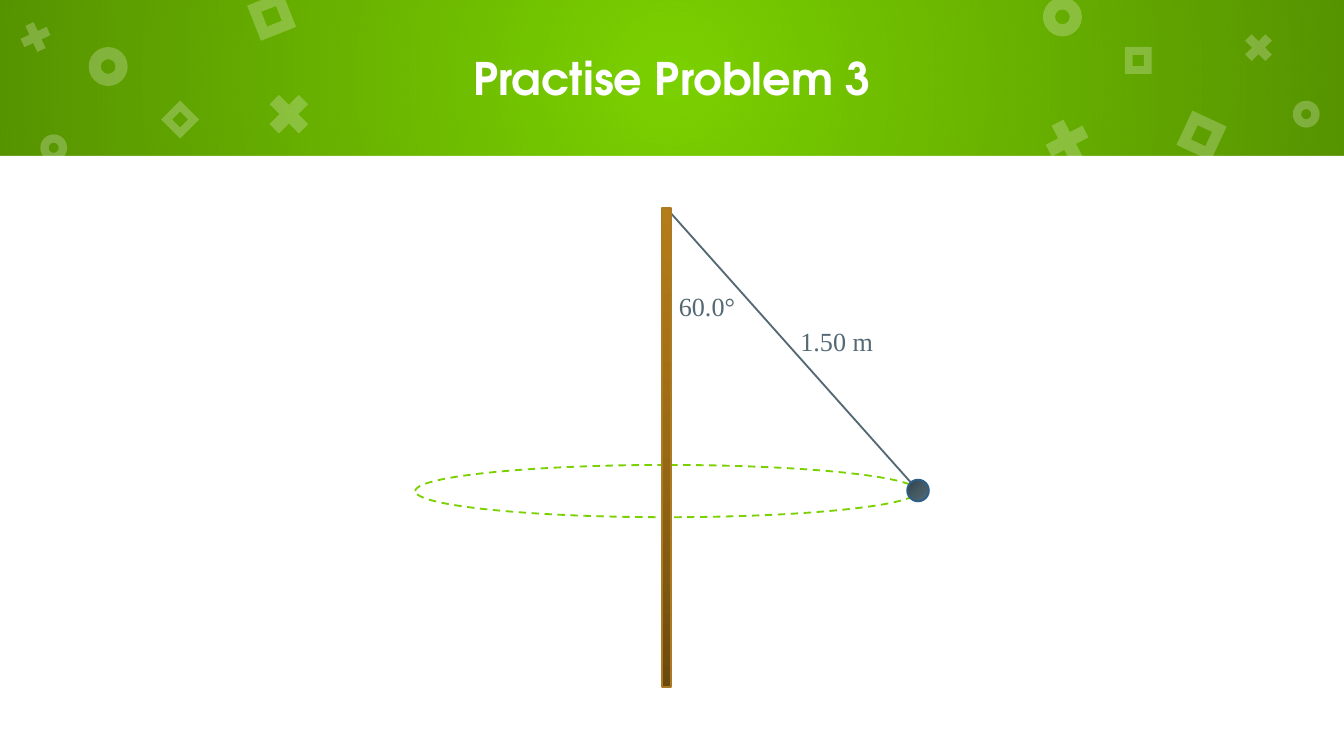
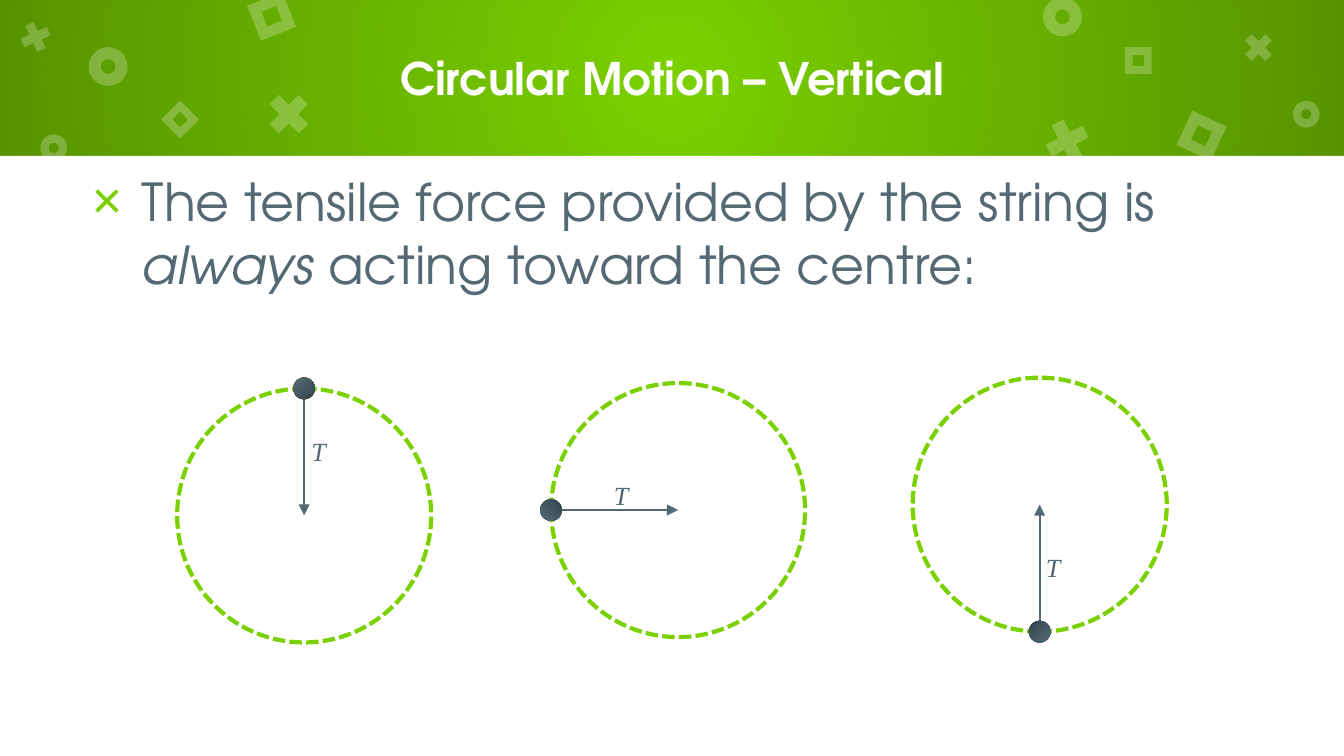
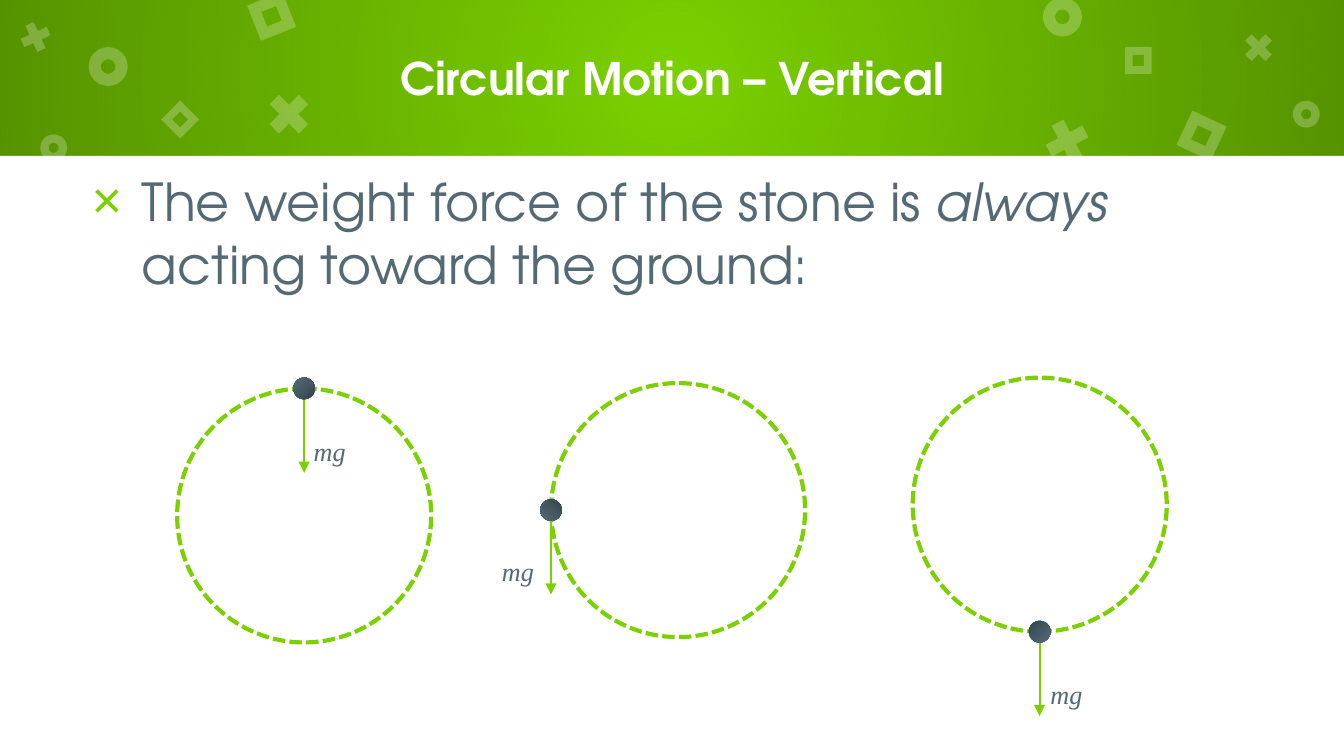
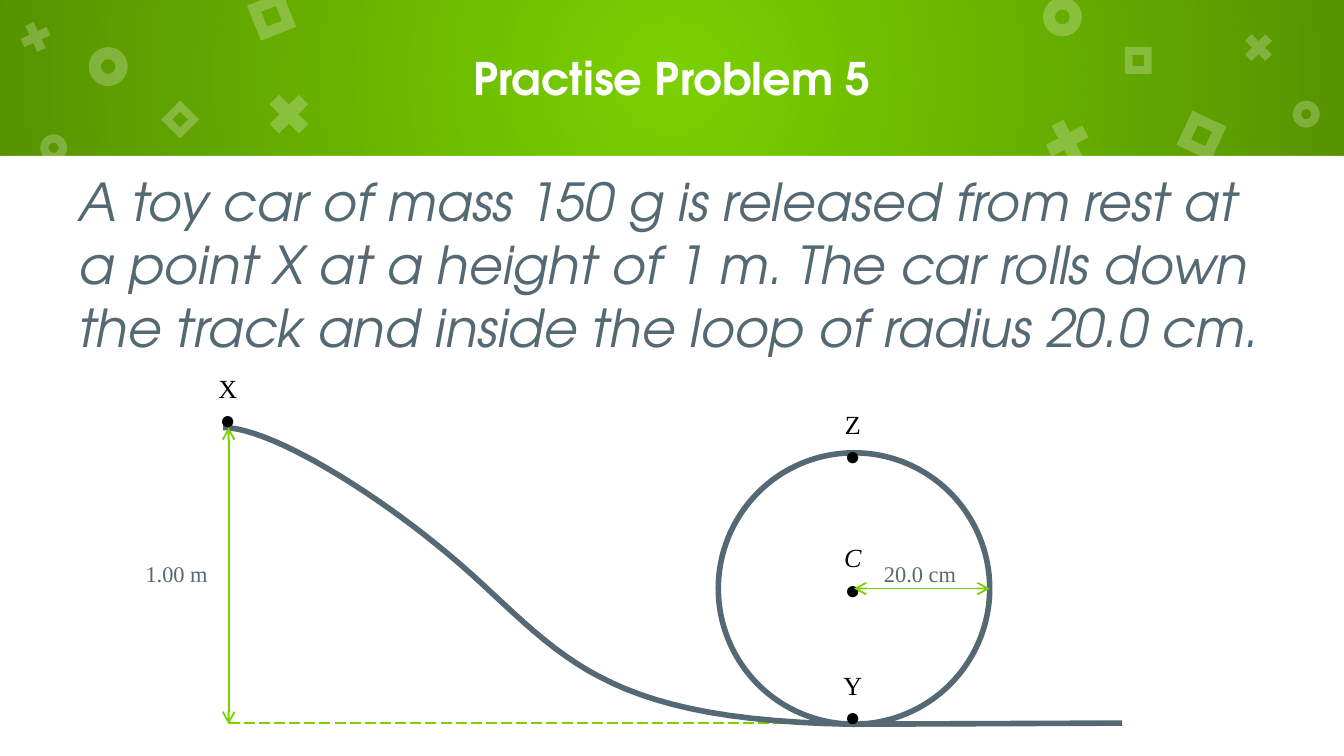
from math import cos, radians, sin

from pptx import Presentation
from pptx.dml.color import RGBColor
from pptx.enum.dml import MSO_LINE
from pptx.enum.shapes import MSO_CONNECTOR, MSO_SHAPE
from pptx.enum.text import MSO_ANCHOR, MSO_AUTO_SIZE, PP_ALIGN
from pptx.oxml import parse_xml
from pptx.oxml.ns import nsdecls, qn
from pptx.util import Pt

SLIDE_WIDTH, SLIDE_HEIGHT, BAND_HEIGHT = 720, 405, 83.5
TITLE_BOX = (68.4, 0, 583.2, BAND_HEIGHT)
BODY_BOX = (34.6, BAND_HEIGHT, 652.3, 303.8)

GREEN, SLATE, WHITE, BLACK = "7BD100", "546973", "FFFFFF", "000000"
STONE_STOPS = [(0, "303F46", 100), (50, "455963", 100), (100, "526A75", 100)]
ROD_STOPS = [(0, "6B4A0E", 100), (50, "996914", 100), (100, "B57D17", 100)]
BAND_STOPS = [(0, BLACK, 0), (100, BLACK, 30)]
CIRCLE_PATH = ('<a:path path="circle"><a:fillToRect l="50000" t="50000"'
               ' r="50000" b="50000"/></a:path>')

HEADING_FONT, LABEL_FONT = "TeX Gyre Adventor", "Times New Roman"
TITLE_FORMAT = {"name": HEADING_FONT, "size": Pt(24), "bold": True}
BODY_FORMAT = {"name": HEADING_FONT, "size": Pt(28)}
LABEL_FORMAT = {"name": LABEL_FONT, "size": Pt(14)}
SMALL_FORMAT = {"name": LABEL_FONT, "size": Pt(12)}
PLACEHOLDER_FRAME = {
    "word_wrap": True, "auto_size": MSO_AUTO_SIZE.NONE,
    "margin_left": Pt(7.2), "margin_right": Pt(7.2),
    "margin_top": Pt(7.2), "margin_bottom": Pt(7.2),
}

DONUT, FRAME, CROSS = MSO_SHAPE.DONUT, MSO_SHAPE.FRAME, MSO_SHAPE.MATH_MULTIPLY
SYMBOL_ADJUSTMENT = {DONUT: 0.31, FRAME: 0.29, CROSS: 0.235}
# kind, left, top, size, rotation
BAND_SYMBOLS = [
    (DONUT, 47.5, 25.2, 20.9, 0), (CROSS, 139.7, 46.1, 30.2, 0),
    (FRAME, 135.4, -1.4, 20.2, 338.4), (DONUT, 558.7, -1.4, 20.9, 0),
    (CROSS, 556.6, 60.5, 30.2, 17.5), (FRAME, 633.6, 62.6, 20.2, 25),
    (DONUT, 21.6, 72, 14.4, 0), (CROSS, 8.6, 9.4, 20.9, 20.4),
    (FRAME, 89.3, 56.9, 14.4, 45), (DONUT, 692.6, 54, 14.4, 0),
    (CROSS, 663.8, 15.1, 20.9, 0), (FRAME, 602.6, 25.2, 14.4, 0),
]

STONE_SIZE, ORBIT_SIZE, WEIGHT_LENGTH = 11.6, 136.1, 51
# left, top, angle of the stone clockwise from the top
ORBITS = [(94.9, 208.1, 0), (295.2, 205.2, 270), (488.9, 202.3, 180)]
TENSION_OFFSETS = [(-3.2, 21.6), (26.6, -20.2), (-3.7, -46.8)]
WEIGHT_OFFSETS = [(-3.2, 21.6), (-34.6, 20.9), (-2.5, 21.6)]


def colour(hex_string):
    return RGBColor.from_string(hex_string)


def set_values(target, values):
    for name, value in values.items():
        setattr(target, name, value)


def set_alpha(shape, percent):
    for element in shape.element.spPr.find(qn("a:solidFill")):
        element.append(parse_xml(
            f'<a:alpha {nsdecls("a")} val="{percent * 1000}"/>'))


def set_gradient(shape, stops, direction):
    """Fill with (position, colour, opacity) stops; direction is lin or path XML."""
    stop_xml = "".join(
        f'<a:gs pos="{position * 1000}"><a:srgbClr val="{hex_string}">'
        f'<a:alpha val="{opacity * 1000}"/></a:srgbClr></a:gs>'
        for position, hex_string, opacity in stops)
    shape.element.spPr.find(qn("a:prstGeom")).addnext(parse_xml(
        f'<a:gradFill {nsdecls("a")} rotWithShape="1">'
        f'<a:gsLst>{stop_xml}</a:gsLst>{direction}</a:gradFill>'))


def linear(angle):
    return f'<a:lin ang="{angle * 60000}" scaled="0"/>'


def set_line(shape, hex_string, width, dash=None):
    shape.line.color.rgb = colour(hex_string)
    set_values(shape.line, {"width": Pt(width), "dash_style": dash})


def add_shape(shapes, kind, box, fill=None, rotation=0):
    """Add a flat preset shape without a line."""
    shape = shapes.add_shape(kind, *map(Pt, box))
    shape.shadow.inherit = False
    shape.rotation = rotation
    shape.line.fill.background()
    if fill:
        shape.fill.solid()
        shape.fill.fore_color.rgb = colour(fill)
    else:
        shape.fill.background()
    return shape


def add_gradient_shape(shapes, kind, box, stops, direction, rotation=0):
    shape = add_shape(shapes, kind, box, rotation=rotation)
    spPr = shape.element.spPr
    spPr.remove(spPr.find(qn("a:noFill")))
    set_gradient(shape, stops, direction)
    return shape


def add_stone(shapes, centre_x, centre_y, rotation=0):
    corner = (centre_x - STONE_SIZE / 2, centre_y - STONE_SIZE / 2)
    return add_gradient_shape(shapes, MSO_SHAPE.OVAL,
                              (*corner, STONE_SIZE, STONE_SIZE),
                              STONE_STOPS, linear(45), rotation)


def add_line(shapes, start, end, hex_string, width=1, dash=None, head=None, tail=None):
    line = shapes.add_connector(MSO_CONNECTOR.STRAIGHT, *map(Pt, (*start, *end)))
    set_line(line, hex_string, width, dash)
    line.element.spPr.append(parse_xml(f'<a:effectLst {nsdecls("a")}/>'))
    for tag, kind in (("headEnd", head), ("tailEnd", tail)):
        if kind:
            line.line._get_or_add_ln().append(parse_xml(
                f'<a:{tag} {nsdecls("a")} type="{kind}"/>'))
    return line


def add_label(shapes, box, lines, hex_string=SLATE, values=LABEL_FORMAT):
    """Add centred (text, italic) lines in a box that grows with its text."""
    text_frame = shapes.add_textbox(*map(Pt, box)).text_frame
    set_values(text_frame, {"word_wrap": False,
                            "auto_size": MSO_AUTO_SIZE.SHAPE_TO_FIT_TEXT})
    for index, (text, italic) in enumerate(lines):
        paragraph = text_frame.add_paragraph() if index else text_frame.paragraphs[0]
        paragraph.alignment = PP_ALIGN.CENTER
        add_run(paragraph, text, hex_string, {**values, "italic": italic})


def add_run(paragraph, text, hex_string, values):
    run = paragraph.add_run()
    run.text = text
    set_values(run.font, values)
    run.font.color.rgb = colour(hex_string)


def draw_master(presentation, slide):
    """Draw the band with the slide's shape tools, then move it to the master."""
    master = presentation.slide_master
    master.background.fill.solid()
    master.background.fill.fore_color.rgb = colour(GREEN)
    shapes = slide.shapes
    parts = [
        add_gradient_shape(shapes, MSO_SHAPE.RECTANGLE,
                           (0, 0, SLIDE_WIDTH, BAND_HEIGHT), BAND_STOPS, CIRCLE_PATH),
        add_shape(shapes, MSO_SHAPE.RECTANGLE,
                  (0, BAND_HEIGHT, SLIDE_WIDTH, SLIDE_HEIGHT - BAND_HEIGHT), WHITE),
    ]
    for kind, left, top, size, rotation in BAND_SYMBOLS:
        symbol = add_shape(shapes, kind, (left, top, size, size), WHITE, rotation)
        symbol.adjustments[0] = SYMBOL_ADJUSTMENT[kind]
        set_alpha(symbol, 24)
        parts.append(symbol)
    for number, part in enumerate(parts):
        part.element.nvSpPr.cNvPr.set("id", str(100 + number))
        master.shapes.element.insert(2 + number, part.element)


def format_placeholder(placeholder, box, anchor):
    set_values(placeholder, dict(zip(("left", "top", "width", "height"), map(Pt, box))))
    set_values(placeholder.text_frame, {**PLACEHOLDER_FRAME, "vertical_anchor": anchor})
    return placeholder.text_frame.paragraphs[0]


def fill_title(slide, text):
    paragraph = format_placeholder(slide.shapes.title, TITLE_BOX, MSO_ANCHOR.MIDDLE)
    paragraph.alignment = PP_ALIGN.CENTER
    add_run(paragraph, text, WHITE, TITLE_FORMAT)


def fill_body(slide, runs, bullet=True):
    """Write (text, italic) runs as the slide's one body paragraph."""
    paragraph = format_placeholder(slide.placeholders[1], BODY_BOX, MSO_ANCHOR.TOP)
    set_values(paragraph, {"space_before": Pt(0), "alignment": PP_ALIGN.LEFT})
    properties = paragraph._p.get_or_add_pPr()
    properties.set("marL", str(Pt(34.2 if bullet else 0)))
    properties.set("indent", str(Pt(-27 if bullet else 0)))
    bullet_xml = ([f'<a:buClr {nsdecls("a")}><a:srgbClr val="{GREEN}"/></a:buClr>',
                   f'<a:buFont {nsdecls("a")} typeface="{HEADING_FONT}"/>',
                   f'<a:buChar {nsdecls("a")} char="×"/>']
                  if bullet else [f'<a:buNone {nsdecls("a")}/>'])
    for xml in bullet_xml:
        properties.append(parse_xml(xml))
    for text, italic in runs:
        add_run(paragraph, text, SLATE, {**BODY_FORMAT, "italic": italic})


def draw_pendulum(slide, left, top):
    """Draw a stone on a string that circles a rod."""
    shapes = slide.shapes.add_group_shape().shapes
    stone_x, stone_y = left + 269.3, top + 151.2
    path = add_shape(shapes, MSO_SHAPE.OVAL, (left, top + 137.5, 269.3, 28))
    set_line(path, GREEN, 1, MSO_LINE.DASH)
    string = add_line(shapes, (left + 134.6, top), (stone_x, stone_y), SLATE)
    rod = add_gradient_shape(shapes, MSO_SHAPE.RECTANGLE, (left + 132, top, 5.2, 256.4),
                             ROD_STOPS, linear(270))
    set_line(rod, "AB7A22", 1)
    string.begin_connect(rod, 0)
    set_line(add_stone(shapes, stone_x, stone_y), "2B5F8A", 1)
    add_label(slide.shapes, (left + 197.3, top + 59, 56.9, 24.5), [("1.50 m", False)])
    add_label(slide.shapes, (left + 132.5, top + 40.3, 47.5, 24.5), [("60.0°", False)])


def draw_orbit(slide, left, top, angle, force, label_offset):
    """Draw a stone on a circle with the arrow of its tension or weight."""
    shapes = slide.shapes.add_group_shape().shapes
    radius = ORBIT_SIZE / 2
    centre = (left + radius, top + radius)
    out_x, out_y = sin(radians(angle)), -cos(radians(angle))
    stone_x, stone_y = centre[0] + radius * out_x, centre[1] + radius * out_y
    orbit = add_shape(shapes, MSO_SHAPE.ARC, (left, top, ORBIT_SIZE, ORBIT_SIZE),
                      rotation=angle)
    orbit.adjustments[0], orbit.adjustments[1] = 162, 161.86
    set_line(orbit, GREEN, 2.25, MSO_LINE.SQUARE_DOT)
    half = STONE_SIZE / 2
    if force == "T":
        start = (stone_x + half * out_x, stone_y + half * out_y)
        add_line(shapes, start, centre, SLATE, tail="triangle")
        label_size = (20.2, 15.8)
    else:
        start = (stone_x, stone_y - half)
        add_line(shapes, start, (stone_x, start[1] + WEIGHT_LENGTH), GREEN, tail="triangle")
        label_size = (33.8, 24.5)
    add_stone(shapes, stone_x, stone_y, (angle + 180) % 360)
    offset_x, offset_y = label_offset
    add_label(shapes, (stone_x + offset_x, stone_y + offset_y, *label_size),
              [(force, True)])


def curve_points(start, control_1, control_2, end, steps=24):
    """Return the points of a cubic curve after its start."""
    def at(t):
        weights = ((1 - t) ** 3, 3 * t * (1 - t) ** 2, 3 * t ** 2 * (1 - t), t ** 3)
        return tuple(
            sum(weight * value for weight, value in zip(weights, values))
            for values in zip(start, control_1, control_2, end))
    return [at(step / steps) for step in range(1, steps + 1)]


def draw_track(slide, left, top):
    """Draw the ramp and the loop; left and top are where the ramp starts."""
    shapes = slide.shapes.add_group_shape().shapes
    ground, height_x, loop_x = top + 159, left + 3, left + 338
    loop_size = 145.4
    radius = loop_size / 2
    add_line(shapes, (height_x, ground - 0.6), (left + 383, ground - 0.6), GREEN, 0.75,
             MSO_LINE.LONG_DASH)
    loop = add_shape(shapes, MSO_SHAPE.OVAL,
                     (loop_x - radius, ground - loop_size, loop_size, loop_size))
    set_line(loop, SLATE, 3)
    add_line(shapes, (loop_x, ground), (left + 481.7, ground - 0.6), SLATE, 3)

    foot, bend, peak = (loop_x, ground), (left + 139, top + 84), (left, top)
    points = (curve_points(foot, (left + 211.7, top + 157), (left + 185.8, top + 127.4), bend)
              + curve_points(bend, (left + 92.9, top + 41), (left + 27.4, top), peak))
    builder = shapes.build_freeform(Pt(foot[0]), Pt(foot[1]))
    builder.add_line_segments([(Pt(x), Pt(y)) for x, y in points], close=False)
    ramp = builder.convert_to_shape()
    ramp.shadow.inherit = False
    ramp.fill.background()
    set_line(ramp, SLATE, 3)

    for name, x, y in (("X", left - 11.5, top - 33.1), ("Y", loop_x - 14.7, top + 126),
                       ("Z", loop_x - 14.7, top - 13.7), ("C", loop_x - 14.7, top + 57.6)):
        add_label(shapes, (x, y, 28.1, 41), [(name, name == "C"), ("●", False)], BLACK)
    add_label(shapes, (loop_x - 0.3, top + 67.7, 71.3, 21.6), [("20.0 cm", False)],
              values=SMALL_FORMAT)
    add_label(shapes, (left - 60.5, top + 67.7, 71.3, 21.6), [("1.00 m", False)],
              values=SMALL_FORMAT)
    radius_y = ground - radius
    for start, end in (((loop_x, radius_y), (loop_x + radius, radius_y)),
                       ((height_x, ground), (height_x, top))):
        add_line(shapes, start, end, GREEN, head="arrow", tail="arrow")


def add_orbit_slide(presentation, runs, force, label_offsets):
    slide = presentation.slides.add_slide(presentation.slide_layouts[1])
    fill_title(slide, "Circular Motion – Vertical")
    fill_body(slide, runs)
    for orbit, label_offset in zip(ORBITS, label_offsets):
        draw_orbit(slide, *orbit, force, label_offset)


def main():
    presentation = Presentation()
    set_values(presentation, {"slide_width": Pt(SLIDE_WIDTH),
                              "slide_height": Pt(SLIDE_HEIGHT)})

    slide = presentation.slides.add_slide(presentation.slide_layouts[5])
    draw_master(presentation, slide)
    fill_title(slide, "Practise Problem 3")
    draw_pendulum(slide, 222.5, 111.6)

    add_orbit_slide(presentation, [("The tensile force provided by the string is ", False),
                                   ("always", True),
                                   (" acting toward the centre:", False)],
                    "T", TENSION_OFFSETS)
    add_orbit_slide(presentation, [("The weight force of the stone is ", False),
                                   ("always", True),
                                   (" acting toward the ground:", False)],
                    "mg", WEIGHT_OFFSETS)

    slide = presentation.slides.add_slide(presentation.slide_layouts[1])
    fill_title(slide, "Practise Problem 5")
    fill_body(slide, [("A toy car of mass 150 g is released from rest at a point X at a "
                       "height of 1 m. The car rolls down the track and inside the loop "
                       "of radius 20.0 cm.", True)], bullet=False)
    draw_track(slide, 119.5, 229)

    presentation.save("out.pptx")


if __name__ == "__main__":
    main()
